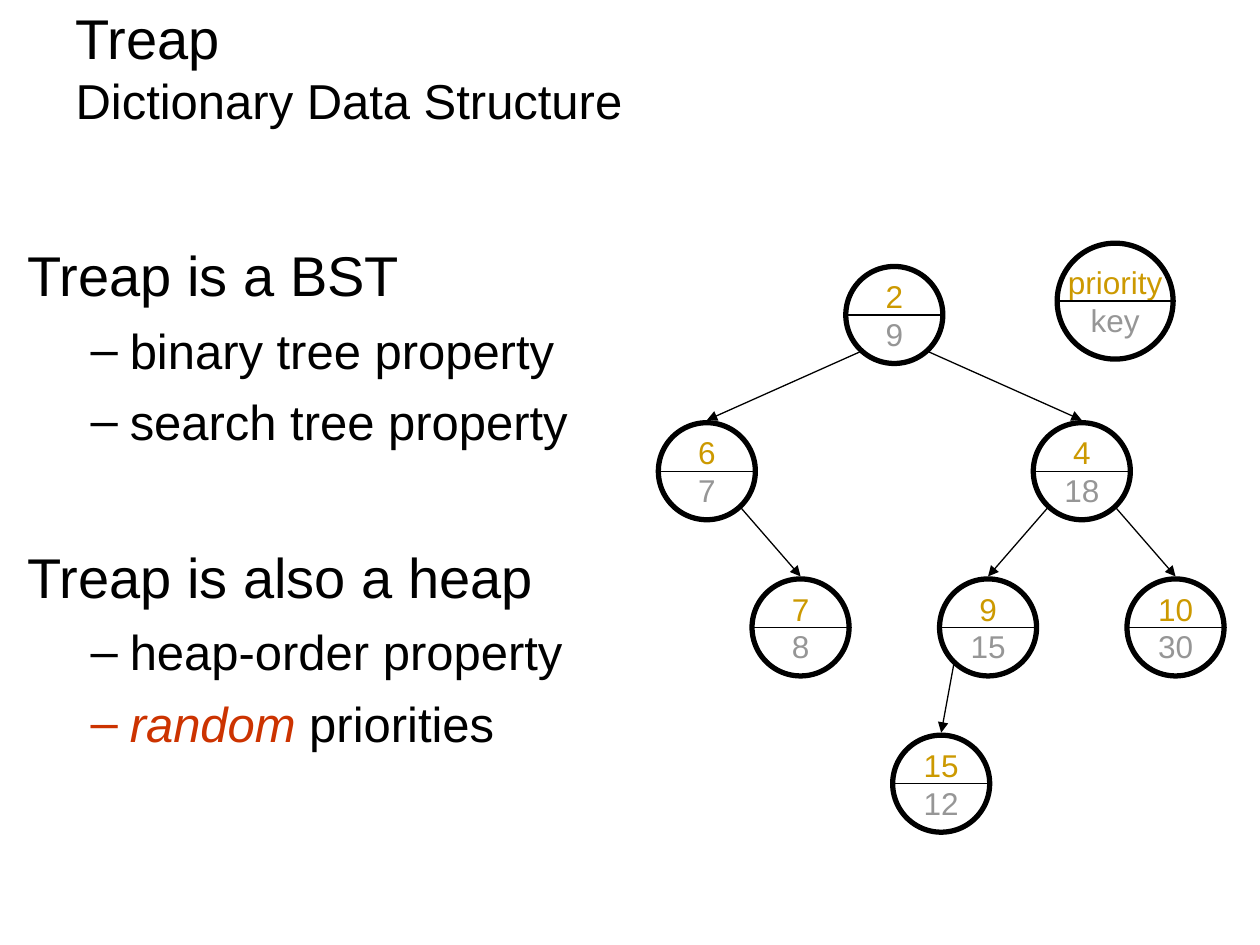
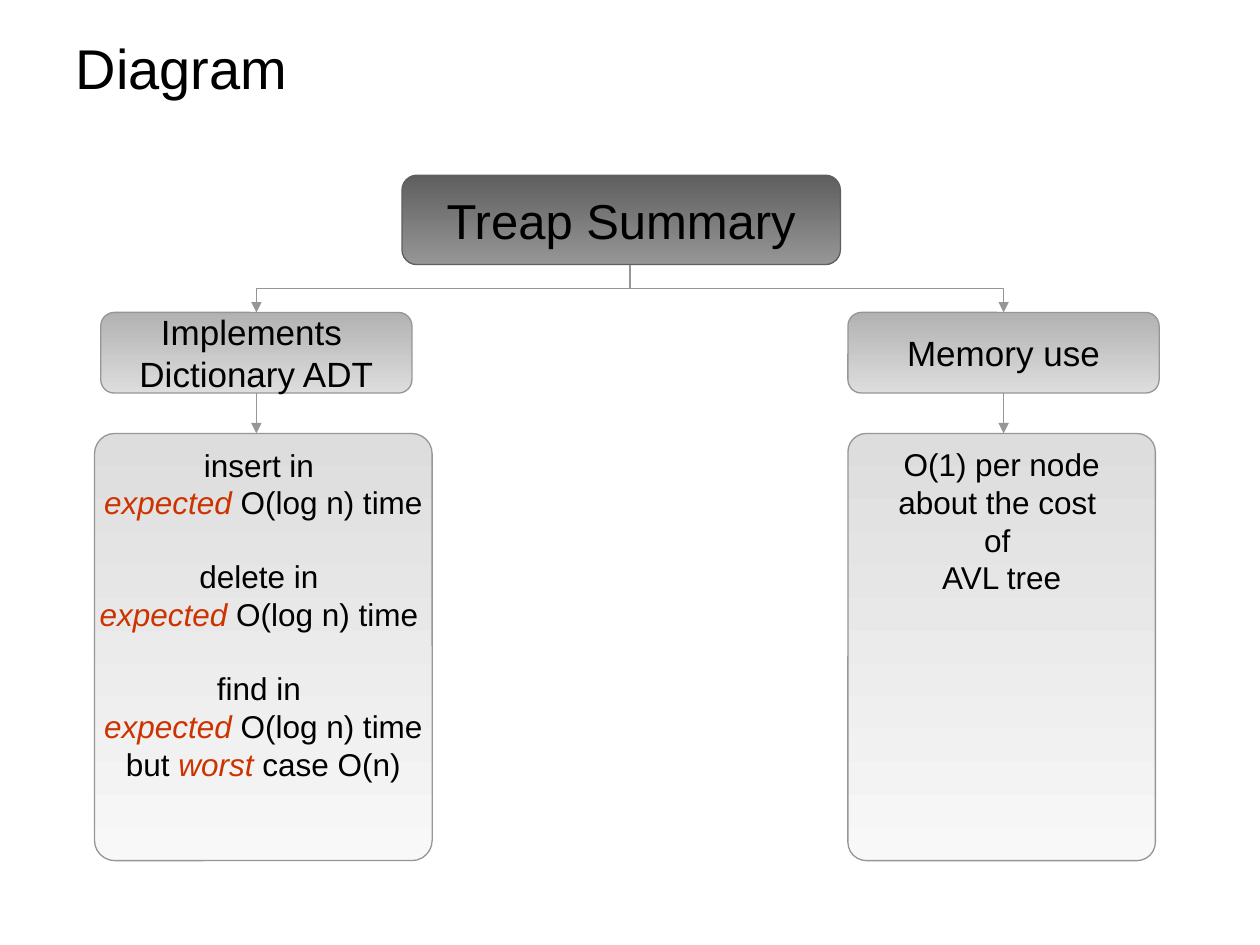
from dataclasses import dataclass
from math import sqrt

from lxml.etree import SubElement
from pptx import Presentation
from pptx.dml.color import RGBColor
from pptx.enum.shapes import MSO_CONNECTOR as Connector, MSO_SHAPE as ShapeKind
from pptx.enum.text import MSO_ANCHOR as Anchor, MSO_AUTO_SIZE as AutoSize, PP_ALIGN as Align
from pptx.oxml.ns import qn
from pptx.util import Inches, Pt

# Shared style
FONT = "Arial"
BLACK, RED, GOLD, GRAY, DARK_GRAY = "000000", "CC3300", "CC9900", "969696", "5F5F5F"
HEADER_GRADIENT = (DARK_GRAY, GRAY)
TOPIC_GRADIENT = ("B2B2B2", "DDDDDD")
PANEL_GRADIENT = ("DDDDDD", "F8F8F8")
THIN = 0.75
LINE_HEIGHT = 1.15

# Tree grid: columns and rows of node centres
NODE_SIZE = 0.77
TREE_LEFT, TREE_TOP = 5.61, 2.5
COLUMN_STEP, ROW_STEP = 3.72 / 10, 1.24
OVERHANG = 0.02


@dataclass(frozen=True)
class Node:
    priority: str
    key: str
    x: float
    y: float
    size: float = NODE_SIZE


@dataclass(frozen=True)
class Card:
    left: float
    top: float
    width: float
    height: float
    gradient: tuple[str, str]
    outline: str
    paragraphs: tuple[str, ...]
    text_size: float
    gaps: tuple[int, ...] = ()
    corner: float = 0.167
    anchor: Anchor = Anchor.MIDDLE


@dataclass(frozen=True)
class ListItem:
    text: str
    level: int = 1
    gap_before: float = 7


def rgb(color: str) -> RGBColor:
    return RGBColor.from_string(color)


def style_run(run, size: float, color: str = BLACK, italic: bool = False) -> None:
    run.font.name = FONT
    run.font.size = Pt(size)
    run.font.color.rgb = rgb(color)
    run.font.italic = italic


def write_marked(paragraph, text: str, size: float) -> None:
    """Write text in which *stars* mark emphasis and newlines mark line breaks."""
    for number, piece in enumerate(text.split("*")):
        emphasized = number % 2 == 1
        for line_number, line in enumerate(piece.split("\n")):
            if line_number:
                paragraph.add_line_break()
            if line:
                run = paragraph.add_run()
                run.text = line
                style_run(run, size, RED if emphasized else BLACK, emphasized)
    for line_break in paragraph._p.findall(qn("a:br")):
        SubElement(line_break, qn("a:rPr"), sz=str(int(size * 100)))


def paragraph_at(text_frame, index: int):
    return text_frame.add_paragraph() if index else text_frame.paragraphs[0]


def place(shape, left: float, top: float, width: float, height: float) -> None:
    shape.left, shape.top = Inches(left), Inches(top)
    shape.width, shape.height = Inches(width), Inches(height)


def set_title(slide, text: str):
    title = slide.shapes.title
    place(title, 0.5, 0.21, 9, 0.64)
    title.text_frame.auto_size = AutoSize.NONE
    title.text_frame.vertical_anchor = Anchor.MIDDLE
    paragraph = title.text_frame.paragraphs[0]
    paragraph.alignment = Align.LEFT
    write_marked(paragraph, text, 32)
    return paragraph


def set_bullet(paragraph, item: ListItem) -> None:
    properties = paragraph._p.get_or_add_pPr()
    if item.level == 0:
        properties.set("marL", "0")
        properties.set("indent", "0")
        SubElement(properties, qn("a:buNone"))
        return
    properties.set("marL", str(Inches(0.81)))
    properties.set("indent", str(Inches(-0.31)))
    bullet_color = SubElement(properties, qn("a:buClr"))
    SubElement(bullet_color, qn("a:srgbClr"), val=RED if item.text.startswith("*") else BLACK)
    SubElement(properties, qn("a:buChar"), char="–")


def fill_body(body, items: list[ListItem]) -> None:
    place(body, 0.12, 1.86, 4.49, 4.99)
    body.text_frame.auto_size = AutoSize.NONE
    for index, item in enumerate(items):
        paragraph = paragraph_at(body.text_frame, index)
        paragraph.level = item.level
        paragraph.space_before = Pt(item.gap_before)
        set_bullet(paragraph, item)
        write_marked(paragraph, item.text, 28 if item.level else 32)


def add_line(slide, start: tuple[float, float], end: tuple[float, float],
             color: str = BLACK, arrow: bool = False, kind=Connector.STRAIGHT):
    connector = slide.shapes.add_connector(kind, *map(Inches, (*start, *end)))
    connector.line.color.rgb = rgb(color)
    connector.line.width = Pt(THIN)
    properties = connector.element.spPr
    if arrow:
        SubElement(properties.find(qn("a:ln")), qn("a:tailEnd"), type="triangle")
    SubElement(properties, qn("a:effectLst"))
    return connector


def add_elbow(slide, start: tuple[float, float], end: tuple[float, float]) -> None:
    """Down, across, down: an elbow turned by a quarter about its centre."""
    middle_x, middle_y = (start[0] + end[0]) / 2, (start[1] + end[1]) / 2
    leftward = end[0] < start[0]
    half_drop = (end[1] - start[1]) / 2 * (1 if leftward else -1)
    half_span = abs(end[0] - start[0]) / 2
    connector = add_line(slide, (middle_x - half_drop, middle_y - half_span),
                         (middle_x + half_drop, middle_y + half_span),
                         GRAY, True, Connector.ELBOW)
    quarter_turns = 1 if leftward else 3
    connector.element.spPr.find(qn("a:xfrm")).set("rot", str(quarter_turns * 5400000))


# Tree parts
def tree_node(priority: str, key: str, column: int, row: int) -> Node:
    return Node(priority, key, TREE_LEFT + column * COLUMN_STEP, TREE_TOP + row * ROW_STEP)


def add_node(slide, node: Node) -> None:
    radius = node.size / 2
    circle = slide.shapes.add_shape(ShapeKind.OVAL, Inches(node.x - radius),
                                    Inches(node.y - radius), Inches(node.size), Inches(node.size))
    circle.shadow.inherit = False
    circle.fill.background()
    circle.line.color.rgb = rgb(BLACK)
    circle.line.width = Pt(3)
    text_frame = circle.text_frame
    text_frame.word_wrap = False
    text_frame.vertical_anchor = Anchor.MIDDLE
    text_frame.text = f"{node.priority}\n{node.key}"
    for paragraph, color in zip(text_frame.paragraphs, (GOLD, GRAY)):
        paragraph.alignment = Align.CENTER
        style_run(paragraph.runs[0], 18, color)
    reach = radius + OVERHANG
    add_line(slide, (node.x - reach, node.y), (node.x + reach, node.y))


def add_branch(slide, parent: Node, child: Node) -> None:
    diagonal = parent.size / 2 / sqrt(2)
    side = -diagonal if child.x < parent.x else diagonal
    add_line(slide, (parent.x + side, parent.y + diagonal + OVERHANG),
             (child.x, child.y - child.size / 2 - OVERHANG), arrow=True)


# Summary parts
def add_card(slide, card: Card):
    shape = slide.shapes.add_shape(ShapeKind.ROUNDED_RECTANGLE, Inches(card.left),
                                   Inches(card.top), Inches(card.width), Inches(card.height))
    shape.adjustments[0] = card.corner
    shape.shadow.inherit = False
    shape.fill.gradient()
    shape.fill.gradient_angle = 270
    for stop, color in zip(shape.fill.gradient_stops, card.gradient):
        stop.color.rgb = rgb(color)
    shape.line.color.rgb = rgb(card.outline)
    shape.line.width = Pt(THIN)
    text_frame = shape.text_frame
    text_frame.word_wrap = False
    text_frame.vertical_anchor = card.anchor
    for index, text in enumerate(card.paragraphs):
        paragraph = paragraph_at(text_frame, index)
        paragraph.alignment = Align.CENTER
        if index in card.gaps:
            paragraph.space_before = Pt(card.text_size * LINE_HEIGHT)
        write_marked(paragraph, text, card.text_size)
    return shape


def topic_card(left: float, text: str) -> Card:
    return Card(left, 2.48, 2.47, 0.64, TOPIC_GRADIENT, GRAY, (text,), 20)


def panel_card(left: float, width: float, paragraphs: tuple[str, ...],
               gaps: tuple[int, ...] = ()) -> Card:
    return Card(left, 3.44, width, 3.39, PANEL_GRADIENT, GRAY, paragraphs, 18,
                gaps, 0.06, Anchor.TOP)


def build_treap_slide(presentation) -> None:
    slide = presentation.slides.add_slide(presentation.slide_layouts[1])
    title = set_title(slide, "Treap \nDictionary Data Structure")
    title.runs[1].font.size = Pt(28)
    fill_body(slide.placeholders[1], [
        ListItem("Treap is a BST", 0, 8),
        ListItem("binary tree property"),
        ListItem("search tree property"),
        ListItem("Treap is also a heap", 0, 8 + 32 * LINE_HEIGHT + 8),
        ListItem("heap-order property"),
        ListItem("*random* priorities"),
    ])

    # Tree
    root = tree_node("2", "9", 4, 0)
    left = tree_node("6", "7", 0, 1)
    right = tree_node("4", "18", 8, 1)
    left_right = tree_node("7", "8", 2, 2)
    right_left = tree_node("9", "15", 6, 2)
    right_right = tree_node("10", "30", 10, 2)
    lowest = tree_node("15", "12", 5, 3)
    legend = Node("priority", "key", 8.85, 2.39, 0.92)
    for node in (root, left, right, left_right, right_left, right_right, lowest, legend):
        add_node(slide, node)
    for parent, child in ((root, left), (root, right), (left, left_right),
                          (right, right_left), (right, right_right), (right_left, lowest)):
        add_branch(slide, parent, child)


def build_summary_slide(presentation) -> None:
    slide = presentation.slides.add_slide(presentation.slide_layouts[5])
    set_title(slide, "Diagram")
    add_card(slide, Card(3.19, 1.39, 3.48, 0.71, HEADER_GRADIENT, DARK_GRAY,
                         ("Treap Summary",), 28))
    branches = (
        (topic_card(0.8, "Implements \nDictionary ADT"),
         panel_card(0.75, 2.68, ("insert in \n*expected* O(log n) time",
                                 "delete in \n*expected* O(log n) time ",
                                 "find in \n*expected* O(log n) time",
                                 "but *worst* case O(n)"), gaps=(1, 2))),
        (topic_card(6.73, "Memory use"),
         panel_card(6.73, 2.44, ("O(1) per node", "about the cost ", "of ", "AVL tree"))),
    )
    for topic, panel in branches:
        topic_shape = add_card(slide, topic)
        add_card(slide, panel)
        center = topic.left + topic.width / 2
        add_elbow(slide, (5, 2.1), (center, topic.top))
        arrow = add_line(slide, (center, topic.top + topic.height), (center, panel.top),
                         GRAY, arrow=True)
        arrow.begin_connect(topic_shape, 2)


def main() -> None:
    presentation = Presentation()
    presentation.slide_width, presentation.slide_height = Inches(10), Inches(7.5)
    build_treap_slide(presentation)
    build_summary_slide(presentation)
    presentation.save("out.pptx")


if __name__ == "__main__":
    main()
